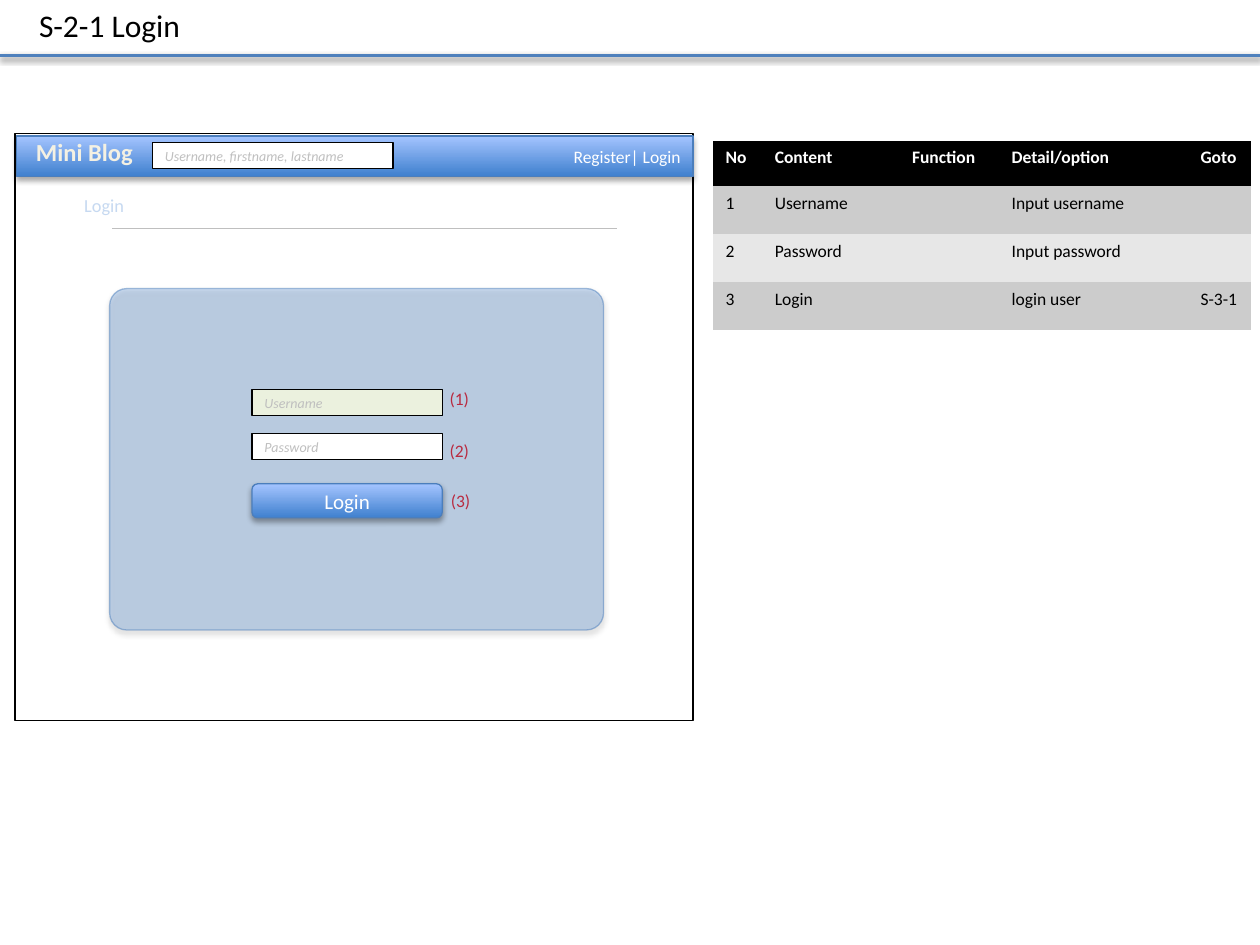
from lxml import etree
from pptx import Presentation
from pptx import util as u
from pptx.dml.color import RGBColor
from pptx.enum import shapes, text
from pptx.oxml import ns

Inches, Pt = u.Inches, u.Pt
LEFT, CENTER, RIGHT = text.PP_ALIGN.LEFT, text.PP_ALIGN.CENTER, text.PP_ALIGN.RIGHT
RECT = shapes.MSO_SHAPE.RECTANGLE
ROUND = shapes.MSO_SHAPE.ROUNDED_RECTANGLE
BLACK, WHITE, GREY, EDGE = "000000", "FFFFFF", "BFBFBF", "4B7EBC"


def color(value):
    """Return the colour for a hex string."""
    return RGBColor.from_string(value)


def write(frame, words, size, ink, align=LEFT, **formats):
    """Write one formatted line into a text frame and return its run."""
    paragraph = frame.paragraphs[0]
    paragraph.alignment = align
    run = paragraph.add_run()
    run.text = words
    for name, value in {"name": "Calibri", "size": Pt(size), **formats}.items():
        setattr(run.font, name, value)
    run.font.color.rgb = color(ink)
    return run


presentation = Presentation()
presentation.slide_width, presentation.slide_height = Inches(10), Inches(7.5)
slide = presentation.slides.add_slide(presentation.slide_layouts[5])

title = slide.shapes.title
title.left, title.top, title.width, title.height = map(Inches, (0.21, 0, 1.33, 0.4))
title.text_frame.word_wrap = False
title.text_frame.vertical_anchor = text.MSO_ANCHOR.TOP
write(title.text_frame, "S-2-1 Login", 18, BLACK)

# Elements that cast a shadow: (element, opacity %, distance in points)
shadowed = []


def add_box(kind, place, fill, edge, words="", size=8, ink=GREY, align=LEFT, **formats):
    """Add a box with a plain fill, or with the blue gradient when fill is None."""
    box = slide.shapes.add_shape(kind, *map(Inches, place))
    box.shadow.inherit = False
    if fill:
        box.fill.solid()
        box.fill.fore_color.rgb = color(fill)
    else:
        box.fill.gradient()
        box.fill.gradient_angle = 90
        for stop, shade in zip(box.fill.gradient_stops, ("3F80CE", "A4C4FF")):
            stop.color.rgb = color(shade)
        shadowed.append((box, 35, 1.8))
    box.line.color.rgb = color(edge)
    box.line.width = Pt(0.75)
    box.text_frame.vertical_anchor = text.MSO_ANCHOR.MIDDLE
    if words:
        write(box.text_frame, words, size, ink, align, **formats)
    return box


# Page frame and rules
rules = []
for start, end, y, ink, width in ((0, 10, 0.44, "4F81BD", 2), (0.89, 4.9, 1.81, GREY, 0.25)):
    rule = slide.shapes.add_connector(
        shapes.MSO_CONNECTOR.STRAIGHT, Inches(start), Inches(y), Inches(end), Inches(y))
    rule.line.color.rgb = color(ink)
    rule.line.width = Pt(width)
    etree.SubElement(rule._element.spPr, ns.qn("a:effectLst"))
    rules.append(rule)
shadowed.append((rules[0], 38, 1.6))

add_box(RECT, (0.12, 1.06, 5.38, 4.66), WHITE, BLACK)
add_box(RECT, (0.13, 1.08, 5.37, 0.32), None, EDGE, "Register| Login", 10, WHITE, RIGHT)
slide.shapes._spTree.append(rules[1]._element)

# Table of screen items
rows = [
    ("No", "Content", "Function", "Detail/option", "Goto"),
    ("1", "Username", "", "Input username", ""),
    ("2", "Password", "", "Input password", ""),
    ("3", "Login", "", "login user", "S-3-1"),
]
widths = (0.39, 1.09, 0.79, 1.5, 0.5)
table = slide.shapes.add_table(
    len(rows), len(widths), Inches(5.66), Inches(1.12), Inches(4.27), Inches(1.43)).table
NO_GRID = "{2D5ABB26-0587-4C30-8999-92F81FD0307C}"
table._tbl.tblPr.find(ns.qn("a:tableStyleId")).text = NO_GRID
for column, width in zip(table.columns, widths):
    column.width = Inches(width)
for i, (row, fill) in enumerate(zip(rows, (BLACK, "CCCCCC", "E7E7E7", "CCCCCC"))):
    table.rows[i].height = Inches(0.36)
    for j, words in enumerate(row):
        cell = table.cell(i, j)
        cell.fill.solid()
        cell.fill.fore_color.rgb = color(fill)
        write(cell.text_frame, words, 10, BLACK if i else WHITE, bold=i == 0)

# Labels
labels = [
    ("(3)", (3.48, 3.84, 0.36, 0.27), 10, "FF0000", LEFT, False),
    ("(2)", (3.47, 3.44, 0.36, 0.27), 10, "FF0000", LEFT, False),
    ("(1)", (3.47, 3.03, 0.36, 0.27), 10, "FF0000", LEFT, False),
    ("Login", (0.57, 1.49, 0.52, 0.28), 10.5, "C6D9F1", LEFT, False),
    ("Mini Blog", (0.18, 1.04, 0.98, 0.34), 14, "F4F1E3", CENTER, True),
]
for words, place, size, ink, align, bold in labels:
    label = slide.shapes.add_textbox(*map(Inches, place))
    label.text_frame.word_wrap = False
    run = write(label.text_frame, words, size, ink, align, bold=bold)
# The site name, last in the list, has outlined letters
outline = etree.Element(ns.qn("a:ln"), w=str(Pt(1)))
outline_fill = etree.SubElement(outline, ns.qn("a:solidFill"))
etree.SubElement(outline_fill, ns.qn("a:srgbClr"), val="054697")
run.font._element.insert(0, outline)

# Search field and login form
add_box(RECT, (1.21, 1.13, 1.91, 0.21), WHITE, BLACK, "Username, firstname, lastname", italic=True)
panel = add_box(ROUND, (0.87, 2.29, 3.92, 2.71), "558ED5", EDGE)
panel.adjustments[0] = 0.05
shadowed.append((panel, 35, 1.8))
for paint, opacity in zip(panel._element.spPr.iter(ns.qn("a:srgbClr")), (30, 50)):
    etree.SubElement(paint, ns.qn("a:alpha"), val=str(opacity * 1000))
for words, y, fill in (("Username", 3.09, "EBF1DE"), ("Password", 3.44, WHITE)):
    add_box(RECT, (2, y, 1.51, 0.21), fill, BLACK, words, italic=True)
add_box(ROUND, (2, 3.84, 1.51, 0.27), None, EDGE, "Login", 12, WHITE, CENTER)

# Soft shadows straight below
for shape, opacity, distance in shadowed:
    effects = shape._element.spPr.find(ns.qn("a:effectLst"))
    shadow = etree.SubElement(
        effects, ns.qn("a:outerShdw"), blurRad=str(Pt(3.1)), dist=str(Pt(distance)),
        dir="5400000", rotWithShape="0")
    paint = etree.SubElement(shadow, ns.qn("a:srgbClr"), val=BLACK)
    etree.SubElement(paint, ns.qn("a:alpha"), val=str(opacity * 1000))

presentation.save("out.pptx")
